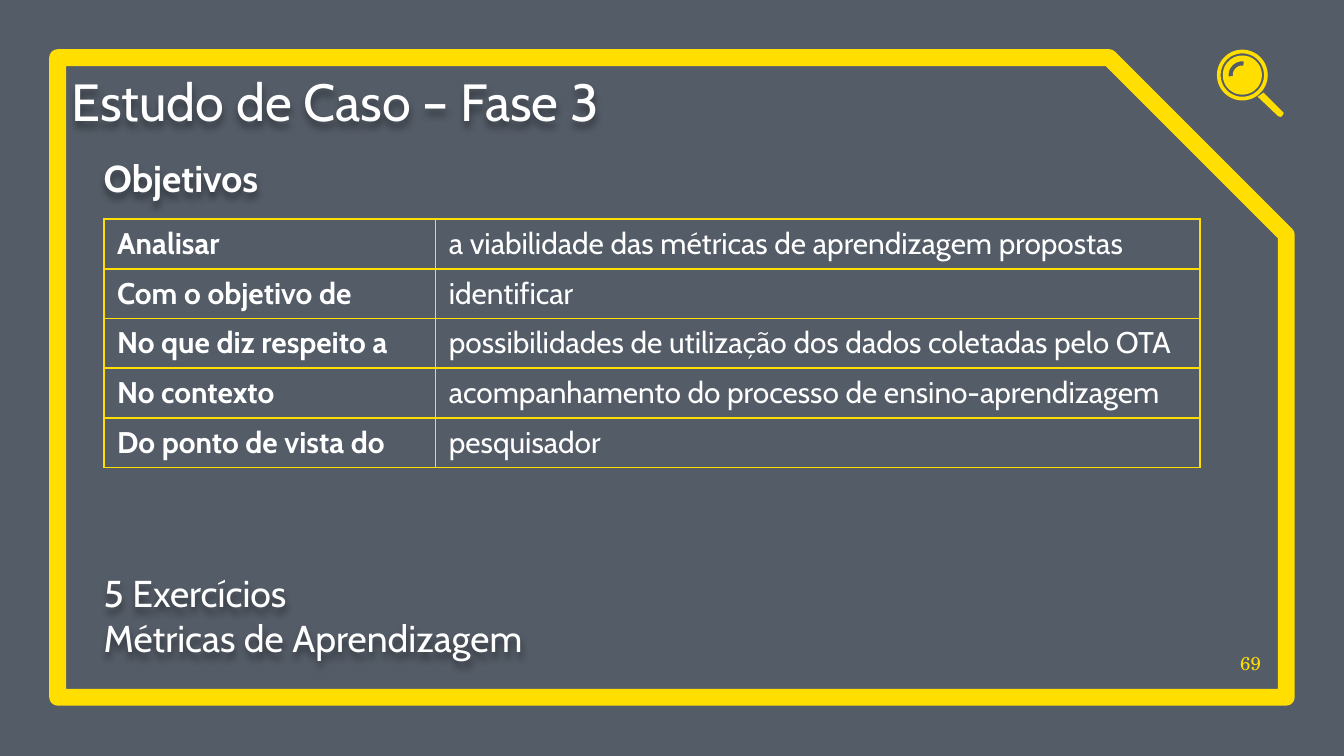
from math import cos, radians, sin

from lxml import etree
from pptx import Presentation
from pptx.dml.color import RGBColor
from pptx.enum.shapes import MSO_SHAPE
from pptx.enum.text import MSO_ANCHOR, PP_ALIGN
from pptx.oxml import parse_xml
from pptx.oxml.ns import nsdecls, qn
from pptx.util import Cm, Pt

RECT, SNIP = MSO_SHAPE.RECTANGLE, MSO_SHAPE.SNIP_1_RECTANGLE
LOW, MID = MSO_ANCHOR.BOTTOM, MSO_ANCHOR.MIDDLE
LEFT, RIGHT = PP_ALIGN.LEFT, PP_ALIGN.RIGHT

HUES = {"veil": "040F20", "gold": "FFDE00", "text": "FFFFFF", "shade": "000000"}
WIDE, HIGH = 25.4, 14.29
EDGE = 1.96
HUB = (23.48, 1.42)
GRIP = [(23.88, 1.75), (23.77, 1.83), (24.16, 2.2), (24.21, 2.21),
        (24.25, 2.17), (24.26, 2.13)]
GOALS = [
    ("Analisar", "a viabilidade das métricas de aprendizagem propostas"),
    ("Com o objetivo de", "identificar"),
    ("No que diz respeito a", "possibilidades de utilização dos dados coletadas pelo OTA"),
    ("No contexto", "acompanhamento do processo de ensino-aprendizagem"),
    ("Do ponto de vista do", "pesquisador"),
]


def hue(key):
    """Return a named colour."""
    return RGBColor.from_string(HUES[key])


def style(para, size, tone="text", face="Cabin", bold=False):
    """Set the font of a paragraph."""
    look = {"size": Pt(size), "name": face, "bold": bold}
    for name, value in look.items():
        setattr(para.font, name, value)
    para.font.color.rgb = hue(tone)


def add_veil(slide):
    """Cover the slide with a see-through dark tint."""
    veil = slide.shapes.add_shape(RECT, 0, 0, Cm(WIDE), Cm(HIGH))
    veil.shadow.inherit = False
    veil.line.fill.background()
    veil.fill.solid()
    veil.fill.fore_color.rgb = hue("veil")
    tint = veil.fill._xPr.find(qn("a:solidFill"))[0]
    etree.SubElement(tint, qn("a:alpha"), val="68000")


def add_frame(slide):
    """Draw the thick border with its cut corner."""
    frame = slide.shapes.add_shape(SNIP, Cm(1.09), Cm(1.09), Cm(23.22), Cm(12.09))
    frame.adjustments[0] = 0.277
    frame.shadow.inherit = False
    frame.fill.background()
    frame.line.color.rgb = hue("gold")
    frame.line.width = Pt(9)


def add_glow(box):
    """Give the text of a box a soft drop shadow."""
    box._element.spPr.append(parse_xml(
        f'<a:effectLst {nsdecls("a")}>'
        '<a:outerShdw blurRad="50800" dist="38100" dir="5400000" algn="t" rotWithShape="0">'
        f'<a:srgbClr val="{HUES["shade"]}"><a:alpha val="40000"/></a:srgbClr>'
        '</a:outerShdw></a:effectLst>'))


def add_text(slide, area, lines, size, align=LEFT, glow=True, **look):
    """Place lines of text at the bottom of an area."""
    box = slide.shapes.add_textbox(*map(Cm, area))
    frame = box.text_frame
    inset = dict.fromkeys(("left", "right", "top", "bottom"), 0)
    form = {f"margin_{side}": gap for side, gap in inset.items()}
    form.update(word_wrap=True, vertical_anchor=LOW, text="\n".join(lines))
    for name, value in form.items():
        setattr(frame, name, value)
    for para in frame.paragraphs:
        para.alignment = align
        style(para, size, **look)
    if glow:
        add_glow(box)


def arc(radius, start=0, end=360):
    """Return points along an arc around the lens centre."""
    step = 6 if end > start else -6
    return [(HUB[0] + radius * cos(radians(turn)), HUB[1] + radius * sin(radians(turn)))
            for turn in range(start, end + step, step)]


def add_shape(shapes, *loops):
    """Fill the closed loops as one gold outline."""
    loops = [[(Cm(x), Cm(y)) for x, y in loop] for loop in loops]
    pen = shapes.build_freeform(*loops[0][0])
    for loop in loops:
        if loop is not loops[0]:
            pen.move_to(*loop[0])
        pen.add_line_segments(loop[1:], close=True)
    shape = pen.convert_to_shape()
    shape.shadow.inherit = False
    shape.line.fill.background()
    shape.fill.solid()
    shape.fill.fore_color.rgb = hue("gold")


def add_lens(slide):
    """Draw the magnifier: rim, glass with glint, and grip."""
    shapes = slide.shapes.add_group_shape().shapes
    add_shape(shapes, arc(0.48), arc(0.41))
    add_shape(shapes, arc(0.37), arc(0.26, 174, 276) + arc(0.18, 276, 174))
    add_shape(shapes, GRIP)


def add_rules(cell):
    """Draw gold lines on all sides of a cell."""
    props = cell._tc.get_or_add_tcPr()
    for side in "LRTB":
        props.append(parse_xml(
            f'<a:ln{side} {nsdecls("a")} w="12700"><a:solidFill>'
            f'<a:srgbClr val="{HUES["gold"]}"/></a:solidFill></a:ln{side}>'))


def add_goals(slide):
    """Add the table of study goals."""
    tall = 0.94
    table = slide.shapes.add_table(
        len(GOALS), 2, Cm(EDGE), Cm(4.14), Cm(20.72), Cm(tall * len(GOALS))).table
    for name in ("first_row", "horz_banding"):
        setattr(table, name, False)
    for col, width in zip(table.columns, (6.27, 14.45)):
        col.width = Cm(width)
    for row, texts in zip(table.rows, GOALS):
        row.height = Cm(tall)
        for spot, (cell, text) in enumerate(zip(row.cells, texts)):
            add_rules(cell)
            cell.fill.background()
            cell.text = text
            cell.vertical_anchor = MID
            style(cell.text_frame.paragraphs[0], 16, bold=spot == 0)


def main():
    """Build the slide and save it."""
    deck = Presentation()
    deck.slide_width, deck.slide_height = Cm(WIDE), Cm(HIGH)
    slide = deck.slides.add_slide(deck.slide_layouts[6])
    add_veil(slide)
    add_frame(slide)
    add_text(slide, (23.14, 12.04, 0.69, 0.71), ["69"], 10, RIGHT, False,
             tone="gold", face="TeX Gyre Schola")
    add_text(slide, (1.35, 1.14, 18.67, 1.35), ["Estudo de Caso – Fase 3"], 28)
    add_lens(slide)
    add_goals(slide)
    add_text(slide, (EDGE, 2.92, 6.3, 0.86), ["Objetivos"], 20, bold=True)
    add_text(slide, (EDGE, 10.72, 9.47, 1.75),
             ["5 Exercícios", "Métricas de Aprendizagem"], 20)
    deck.save("out.pptx")


if __name__ == "__main__":
    main()
